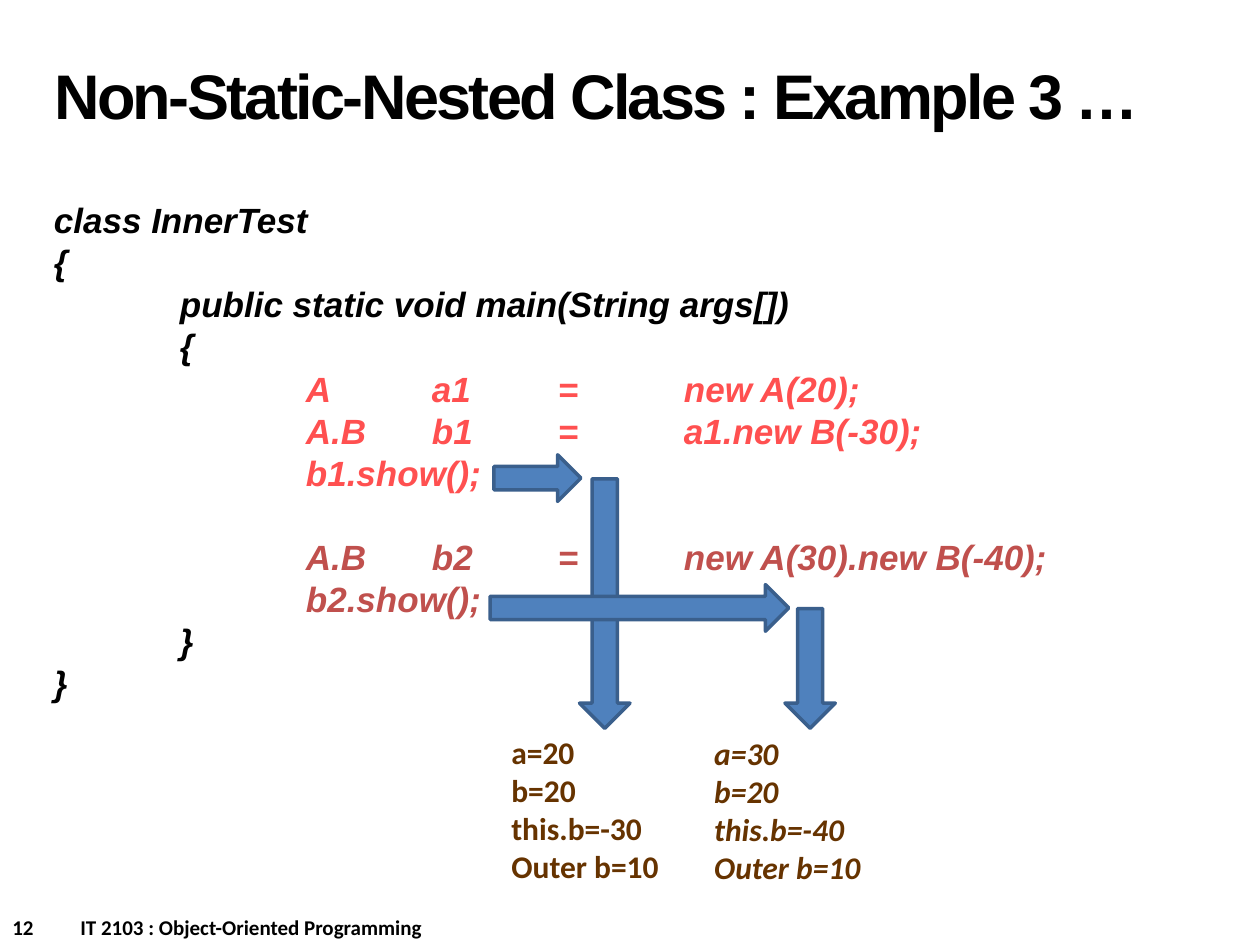
from lxml import etree
from pptx import Presentation
from pptx.dml.color import RGBColor
from pptx.enum.shapes import MSO_SHAPE
from pptx.enum.text import MSO_ANCHOR, MSO_AUTO_SIZE, PP_ALIGN
from pptx.oxml.ns import qn
from pptx.util import Inches, Pt

BLACK = RGBColor(0x00, 0x00, 0x00)
CORAL = RGBColor(0xFF, 0x50, 0x50)
RED = RGBColor(0xC0, 0x50, 0x4D)
BROWN = RGBColor(0x66, 0x33, 0x00)
BLUE = RGBColor(0x4F, 0x81, 0xBD)
DARK_BLUE = RGBColor(0x3A, 0x5F, 0x8C)

CODE_SIZE = 20
CODE_LINE = Pt(24)
CODE_TABS = range(1, 6)
CODE_BLOCKS = [
    (BLACK, ["class InnerTest", "{",
             "\tpublic static void main(String args[])", "\t{"]),
    (CORAL, ["\t\tA \ta1 \t= \tnew A(20);",
             "\t\tA.B \tb1 \t= \ta1.new B(-30);",
             "\t\tb1.show();"]),
    (RED, ["\t\tA.B \tb2 \t= \tnew A(30).new B(-40);",
           "\t\tb2.show();"]),
    (BLACK, ["\t}", "}"]),
]

OUTPUTS = [
    ((3.96, 5.77, 1.65, 1.3), ["a=20", "b=20", "this.b=-30", "Outer b=10"], False),
    ((5.57, 5.78, 1.75, 1.3), ["a=30", "b=20", "this.b=-40", "Outer b=10"], True),
]

ARROWS = [
    (MSO_SHAPE.RIGHT_ARROW, (3.92, 3.61, 0.69, 0.37)),
    (MSO_SHAPE.DOWN_ARROW, (4.6, 3.8, 0.4, 1.98)),
    (MSO_SHAPE.RIGHT_ARROW, (3.89, 4.64, 2.37, 0.37)),
    (MSO_SHAPE.DOWN_ARROW, (6.23, 4.83, 0.4, 0.95)),
]


def inches(box):
    return [Inches(length) for length in box]


def style_runs(paragraph, font_name, size, color, italic=False):
    for run in paragraph.runs:
        run.font.name = font_name
        run.font.size = Pt(size)
        run.font.bold = True
        run.font.italic = italic
        run.font.color.rgb = color


def add_tab_stops(paragraph, positions):
    tab_list = etree.SubElement(paragraph._p.get_or_add_pPr(), qn("a:tabLst"))
    for position in positions:
        etree.SubElement(tab_list, qn("a:tab"), pos=str(Inches(position)), algn="l")


def add_text_box(slide, box, lines):
    text_frame = slide.shapes.add_textbox(*inches(box)).text_frame
    text_frame.word_wrap = True
    text_frame.text = "\n".join(lines)
    return text_frame.paragraphs


def set_title(slide, text):
    title = slide.shapes.title
    title.left, title.top, title.width, title.height = inches((0.33, 0.17, 9.31, 1.25))
    text_frame = title.text_frame
    text_frame.text = text
    text_frame.auto_size = MSO_AUTO_SIZE.NONE
    text_frame.vertical_anchor = MSO_ANCHOR.MIDDLE
    paragraph = text_frame.paragraphs[0]
    paragraph.alignment = PP_ALIGN.LEFT
    paragraph.line_spacing = Pt(36)
    style_runs(paragraph, "Arial", 36, BLACK)
    for run in paragraph.runs:
        run.font._element.set("spc", "-150")


def add_code(slide):
    lines = [(line, color) for color, block in CODE_BLOCKS for line in block]
    paragraphs = add_text_box(slide, (0.33, 1.53, 9.23, 4.14),
                              [line for line, _ in lines])
    previous_color = None
    for paragraph, (_, color) in zip(paragraphs, lines):
        add_tab_stops(paragraph, CODE_TABS)
        paragraph.line_spacing = CODE_LINE
        if color == RED and previous_color == CORAL:
            paragraph.space_before = CODE_LINE
        style_runs(paragraph, "Arial", CODE_SIZE, color, italic=True)
        previous_color = color


def add_output(slide, box, lines, italic):
    for paragraph in add_text_box(slide, box, lines):
        style_runs(paragraph, "Calibri", 18, BROWN, italic)


def add_arrow(slide, kind, box):
    arrow = slide.shapes.add_shape(kind, *inches(box))
    arrow.shadow.inherit = False
    arrow.fill.solid()
    arrow.fill.fore_color.rgb = BLUE
    arrow.line.color.rgb = DARK_BLUE
    arrow.line.width = Pt(2)


def add_footer(slide, number, course):
    paragraph = add_text_box(slide, (0, 7.21, 5, 0.3), [f"{number}\t{course}"])[0]
    add_tab_stops(paragraph, [0.54])
    style_runs(paragraph, "Calibri", 12, BLACK)


def main():
    presentation = Presentation()
    presentation.slide_width = Inches(10)
    presentation.slide_height = Inches(7.5)
    slide = presentation.slides.add_slide(presentation.slide_layouts[5])

    add_footer(slide, 12, "IT 2103 : Object-Oriented Programming")
    set_title(slide, "Non-Static-Nested Class : Example 3 …")
    add_code(slide)
    for kind, box in ARROWS:
        add_arrow(slide, kind, box)
    for box, lines, italic in OUTPUTS:
        add_output(slide, box, lines, italic)

    presentation.save("out.pptx")


if __name__ == "__main__":
    main()
